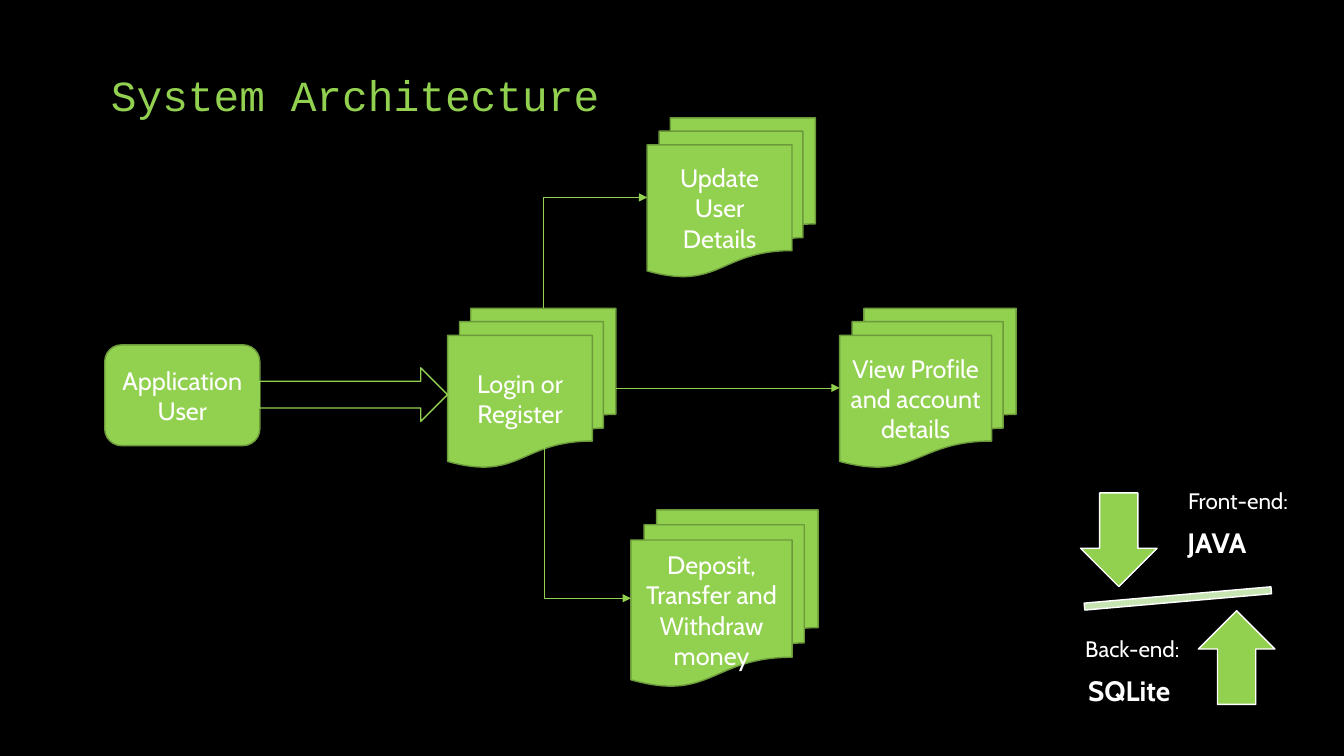
"""Build the System Architecture flow slide."""
import pptx
import pptx.dml.color
import pptx.enum.shapes
import pptx.enum.text
import pptx.oxml.ns
import pptx.util
from lxml import etree

Cm, Pt = pptx.util.Cm, pptx.util.Pt
RGBColor = pptx.dml.color.RGBColor
SHAPE = pptx.enum.shapes.MSO_SHAPE
ALIGN = pptx.enum.text.PP_ALIGN
ANCHOR = pptx.enum.text.MSO_ANCHOR

BLACK = RGBColor(0x00, 0x00, 0x00)
WHITE = RGBColor(0xFF, 0xFF, 0xFF)
GREEN = RGBColor(0x92, 0xD0, 0x50)
DARK_GREEN = RGBColor(0x6C, 0x9A, 0x3B)
PALE_GREEN = RGBColor(0xC7, 0xE4, 0xB3)
BODY_FONT, TITLE_FONT = "Cabin", "Courier New"
TOP, LEFT, BOTTOM, RIGHT = range(4)

TITLE = ("System Architecture", (2.54, 1.7, 13.77, 1.47))
STEPS = {
    "user": (SHAPE.ROUNDED_RECTANGLE, (2.64, 8.69, 3.91, 2.54), "Application\nUser"),
    "login": (SHAPE.FLOWCHART_MULTIDOCUMENT, (11.28, 7.77, 4.24, 4.01), "Login or Register"),
    "update": (SHAPE.FLOWCHART_MULTIDOCUMENT, (16.31, 2.97, 4.24, 4.01), "Update User Details"),
    "view": (SHAPE.FLOWCHART_MULTIDOCUMENT, (21.16, 7.77, 4.45, 4.01),
             "View Profile and account details"),
    "deposit": (SHAPE.FLOWCHART_MULTIDOCUMENT, (15.9, 12.85, 4.72, 4.45),
                "Deposit, Transfer and Withdraw money"),
}
ENTRY_ARROW = (6.53, 9.27, 4.75, 1.35)
BRANCHES = [("update", 13.69, 7.77), ("deposit", 13.72, 11.23)]
STACK_SHAPES = [
    (SHAPE.MATH_MINUS, (26.47, 14.71, 6.43, 0.74), PALE_GREEN, 355),
    (SHAPE.DOWN_ARROW, (27.23, 12.42, 1.93, 2.36), GREEN, 0),
    (SHAPE.UP_ARROW, (30.2, 15.39, 1.93, 2.36), GREEN, 0),
]
TECHNOLOGIES = [("JAVA", (29.41, 13.21, 2.51, 1.02)), ("SQLite", (26.67, 16.94, 3.58, 1.02))]
CAPTIONS = [("Front-end:", (29.69, 12.14, 3.23, 0.94)), ("Back-end:", (27.1, 15.88, 3.38, 0.94))]


def write(box, text, size, align, color=WHITE, font=BODY_FONT, bold=False):
    """Fill a box with evenly formatted paragraphs."""
    frame = box.text_frame
    frame.word_wrap = True
    frame.text = text
    for para in frame.paragraphs:
        para.alignment = align
        para.font.name = font
        para.font.size = Pt(size)
        para.font.bold = bold
        para.font.color.rgb = color
    return frame


def add_shape(page, kind, place, fill, line):
    """Add an outlined preset shape, hollow when fill is None."""
    shape = page.shapes.add_shape(kind, *map(Cm, place))
    shape.shadow.inherit = False
    if fill is None:
        shape.fill.background()
    else:
        shape.fill.solid()
        shape.fill.fore_color.rgb = fill
    shape.line.color.rgb = line
    shape.line.width = Pt(1)
    return shape


def add_line(page, start, end, source=None, target=None):
    """Add a thin line, joined to its source and ending in an arrow at its target."""
    line = page.shapes.add_connector(
        pptx.enum.shapes.MSO_CONNECTOR.STRAIGHT, *start, *end)
    line.line.color.rgb = GREEN
    line.line.width = Pt(0.5)
    if source is not None:
        line.begin_connect(source, RIGHT)
    if target is not None:
        line.end_connect(target, LEFT)
        etree.SubElement(line.line._get_or_add_ln(),
                         pptx.oxml.ns.qn("a:tailEnd"), type="triangle")
    etree.SubElement(line._element.spPr, pptx.oxml.ns.qn("a:effectLst"))


def left_middle(shape):
    """Return the middle of a shape's left side."""
    return shape.left, shape.top + shape.height // 2


def add_flow(page):
    """Draw the steps and the lines between them."""
    steps = {}
    for name, (kind, place, text) in STEPS.items():
        steps[name] = add_shape(page, kind, place, GREEN, DARK_GREEN)
        frame = write(steps[name], text, 18, ALIGN.CENTER)
        frame.vertical_anchor = ANCHOR.MIDDLE
    add_shape(page, SHAPE.RIGHT_ARROW, ENTRY_ARROW, None, GREEN)
    for name, x, y in BRANCHES:
        end = left_middle(steps[name])
        corner = (Cm(x), end[1])
        add_line(page, corner, (Cm(x), Cm(y)))
        add_line(page, corner, end, target=steps[name])
    login, view = steps["login"], steps["view"]
    start = (login.left + login.width, login.top + login.height // 2)
    add_line(page, start, left_middle(view), login, view)


def add_stack(page):
    """Draw the front-end and back-end key."""
    for kind, place, fill, rotation in STACK_SHAPES:
        add_shape(page, kind, place, fill, WHITE).rotation = rotation
    for text, place in TECHNOLOGIES:
        box = page.shapes.add_textbox(*map(Cm, place))
        frame = write(box, text, 20, ALIGN.CENTER, bold=True)
        frame.vertical_anchor = ANCHOR.MIDDLE
        frame.margin_left = frame.margin_right = Cm(0.41)
        frame.margin_top = frame.margin_bottom = Cm(0.41)
        frame.paragraphs[0].line_spacing = 0.9
    for text, place in CAPTIONS:
        write(page.shapes.add_textbox(*map(Cm, place)), text, 16, ALIGN.LEFT)


def main():
    """Create and save the deck."""
    deck = pptx.Presentation()
    deck.slide_width, deck.slide_height = Cm(33.87), Cm(19.05)
    page = deck.slides.add_slide(deck.slide_layouts[5])
    page.background.fill.solid()
    page.background.fill.fore_color.rgb = BLACK
    title = page.shapes.title
    text, place = TITLE
    title.left, title.top, title.width, title.height = map(Cm, place)
    frame = write(title, text, 30.6, ALIGN.LEFT, GREEN, TITLE_FONT)
    frame.auto_size = pptx.enum.text.MSO_AUTO_SIZE.NONE
    frame.vertical_anchor = ANCHOR.BOTTOM
    frame.paragraphs[0].line_spacing = 0.9
    add_flow(page)
    add_stack(page)
    deck.save("out.pptx")


if __name__ == "__main__":
    main()
